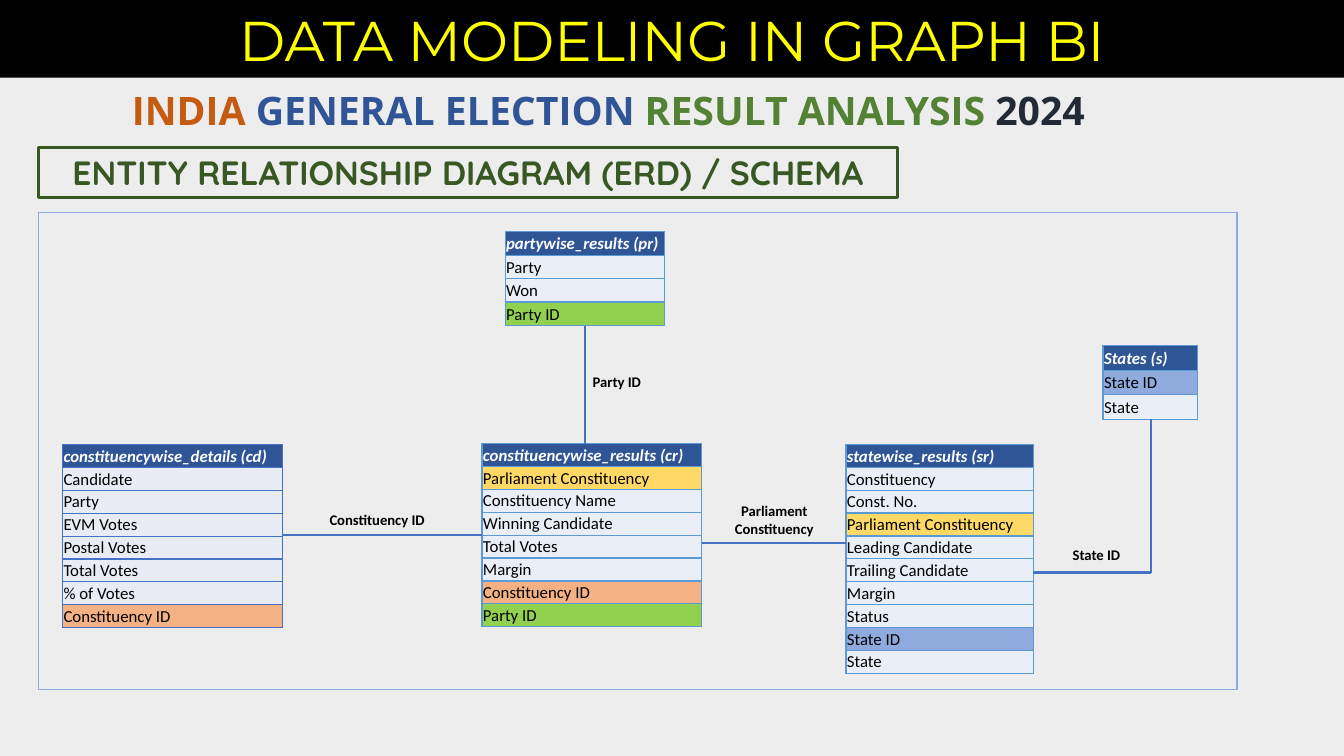
"""Build the entity relationship diagram slide for the election result analysis."""
from dataclasses import dataclass, field

import lxml.etree
import pptx
import pptx.dml.color
import pptx.enum.shapes
import pptx.enum.text
import pptx.oxml.ns
import pptx.util

Inches = pptx.util.Inches
Pt = pptx.util.Pt
Align = pptx.enum.text.PP_ALIGN
Anchor = pptx.enum.text.MSO_ANCHOR

BLACK, NAVY, BLUE, SKY = "000000", "2F5597", "4472C4", "5B9BD5"
PERIWINKLE, GREEN = "8FAADC", "385723"
PALE, LAVENDER = "EAEFF7", "E9EBF5"
KEY_FILLS = {
    "Constituency ID": "F4B183",
    "Parliament Constituency": "FFD966",
    "Party ID": "92D050",
    "State ID": PERIWINKLE,
}


@dataclass
class Entity:
    name: str
    place: tuple[float, float, float, float]
    fields: list[str]
    row_fill: str = PALE
    border: str = SKY


@dataclass
class Link:
    start: tuple[float, float]
    end: tuple[float, float]


@dataclass
class Label:
    place: tuple[float, float, float, float]
    spans: list[tuple[str, str]]
    size: float = 10.5
    font: str = "Calibri"
    bold: bool = True
    align: Align = Align.LEFT
    anchor: Anchor = Anchor.TOP


@dataclass
class Panel:
    place: tuple[float, float, float, float]
    fill: str = ""
    line: str = ""
    weight: float = 1
    labels: list[Label] = field(default_factory=list)


ENTITIES = [
    Entity("constituencywise_details (cd)", (0.62, 4.41, 2.18, 1.82),
           ["Candidate", "Party", "EVM Votes", "Postal Votes", "Total Votes",
            "% of Votes", "Constituency ID"], LAVENDER, BLUE),
    Entity("constituencywise_results (cr)", (4.78, 4.4, 2.18, 1.82),
           ["Parliament Constituency", "Constituency Name", "Winning Candidate",
            "Total Votes", "Margin", "Constituency ID", "Party ID"]),
    Entity("partywise_results (pr)", (5.01, 2.3, 1.58, 0.93),
           ["Party", "Won", "Party ID"]),
    Entity("States (s)", (10.94, 3.43, 0.94, 0.73), ["State ID", "State"]),
    Entity("statewise_results (sr)", (8.39, 4.41, 1.86, 2.27),
           ["Constituency", "Const. No.", "Parliament Constituency",
            "Leading Candidate", "Trailing Candidate", "Margin", "Status",
            "State ID", "State"]),
]
LINKS = [
    Link((5.8, 3.23), (5.8, 4.4)),
    Link((2.8, 5.31), (4.78, 5.31)),
    Link((6.96, 5.39), (8.39, 5.39)),
    Link((10.25, 5.68), (11.42, 5.68)),
    Link((11.42, 4.16), (11.42, 5.68)),
]
LINK_LABELS = [
    Label((3.17, 5.02, 1.24, 0.29), [("Constituency ID", BLACK)]),
    Label((10.54, 5.37, 0.71, 0.29), [("State ID", BLACK)]),
    Label((7.06, 4.93, 1.24, 0.45), [("Parliament Constituency", BLACK)],
          align=Align.CENTER),
    Label((5.78, 3.65, 0.71, 0.29), [("Party ID", BLACK)]),
]
SCHEMA_PLACE = (0.38, 1.46, 8.52, 0.5)
BANNER_PLACE = (0, 0, 13.33, 0.77)
PANELS = [
    Panel(SCHEMA_PLACE, line=GREEN, weight=2.25, labels=[
        Label(SCHEMA_PLACE, [("ENTITY RELATIONSHIP DIAGRAM (ERD) / SCHEMA", GREEN)],
              24, "Quicksand", align=Align.CENTER, anchor=Anchor.MIDDLE)]),
    Panel(BANNER_PLACE, fill=BLACK, labels=[
        Label(BANNER_PLACE, [("DATA MODELING IN GRAPH BI", "FFFF00")],
              40, "Montserrat", False, Align.CENTER, Anchor.MIDDLE)]),
    Panel((0.38, 2.11, 11.89, 4.73), line=PERIWINKLE),
]
HEADING = Label((1.21, 0.81, 11.44, 0.57),
                [("INDIA ", "C55A11"), ("GENERAL ELECTION ", NAVY),
                 ("RESULT ANALYSIS ", "548235"), ("2024", "222A35")],
                28, "Open Sans")


def colour(code: str) -> pptx.dml.color.RGBColor:
    """Turn a hex string into a colour."""
    return pptx.dml.color.RGBColor.from_string(code)


def add_borders(cell, code: str) -> None:
    """Draw a one point line on each side of a table cell."""
    properties = cell._tc.get_or_add_tcPr()
    for side in ("a:lnL", "a:lnR", "a:lnT", "a:lnB"):
        line = lxml.etree.SubElement(properties, pptx.oxml.ns.qn(side), w=str(Pt(1)))
        fill = lxml.etree.SubElement(line, pptx.oxml.ns.qn("a:solidFill"))
        lxml.etree.SubElement(fill, pptx.oxml.ns.qn("a:srgbClr"), val=code)


def add_entity(page, entity: Entity) -> None:
    """Draw an entity as a one-column table with its key fields coloured."""
    left, top, width, height = map(Inches, entity.place)
    rows = [entity.name, *entity.fields]
    table = page.shapes.add_table(len(rows), 1, left, top, width, height).table
    for index, text in enumerate(rows):
        is_header = index == 0
        table.rows[index].height = height // len(rows)
        cell = table.cell(index, 0)
        add_borders(cell, entity.border)
        cell.fill.solid()
        cell.fill.fore_color.rgb = colour(
            NAVY if is_header else KEY_FILLS.get(text, entity.row_fill))
        cell.margin_left = cell.margin_right = cell.margin_top = Inches(0.01)
        cell.margin_bottom = 0
        cell.vertical_anchor = Anchor.MIDDLE
        cell.text = text
        font = cell.text_frame.paragraphs[0].font
        font.name, font.size = "Calibri", Pt(12)
        font.bold = font.italic = is_header
        font.color.rgb = colour("FFFFFF" if is_header else BLACK)


def add_link(page, link: Link) -> None:
    """Draw a relationship line."""
    connector = page.shapes.add_connector(
        pptx.enum.shapes.MSO_CONNECTOR.STRAIGHT,
        *map(Inches, link.start), *map(Inches, link.end))
    connector.line.color.rgb = colour(BLUE)
    connector.line.width = Pt(1.5)
    lxml.etree.SubElement(connector._element.spPr, pptx.oxml.ns.qn("a:effectLst"))


def write_label(box, label: Label) -> None:
    """Write the coloured spans of a label into a shape."""
    frame = box.text_frame
    frame.word_wrap = True
    frame.vertical_anchor = label.anchor
    frame.margin_top = frame.margin_bottom = Inches(0.05)
    para = frame.paragraphs[0]
    para.alignment = label.align
    para.font.name, para.font.size = label.font, Pt(label.size)
    para.font.bold = label.bold
    for text, code in label.spans:
        span = para.add_run()
        span.text = text
        span.font.color.rgb = colour(code)


def add_label(page, label: Label) -> None:
    """Add a text box holding a label."""
    write_label(page.shapes.add_textbox(*map(Inches, label.place)), label)


def add_panel(page, panel: Panel) -> None:
    """Add a rectangle with an optional fill, line and label."""
    box = page.shapes.add_shape(
        pptx.enum.shapes.MSO_SHAPE.RECTANGLE, *map(Inches, panel.place))
    box.shadow.inherit = False
    if panel.fill:
        box.fill.solid()
        box.fill.fore_color.rgb = colour(panel.fill)
    else:
        box.fill.background()
    if panel.line:
        box.line.color.rgb = colour(panel.line)
        box.line.width = Pt(panel.weight)
    else:
        box.line.fill.background()
    for label in panel.labels:
        write_label(box, label)


def main() -> None:
    """Build and save the deck."""
    deck = pptx.Presentation()
    deck.slide_width, deck.slide_height = Inches(13.33), Inches(7.5)
    page = deck.slides.add_slide(deck.slide_layouts[6])
    page.background.fill.solid()
    page.background.fill.fore_color.rgb = colour("EDEDED")
    for entity in ENTITIES:
        add_entity(page, entity)
    for link in LINKS:
        add_link(page, link)
    for label in LINK_LABELS:
        add_label(page, label)
    for panel in PANELS:
        add_panel(page, panel)
    add_label(page, HEADING)
    deck.save("out.pptx")


if __name__ == "__main__":
    main()
